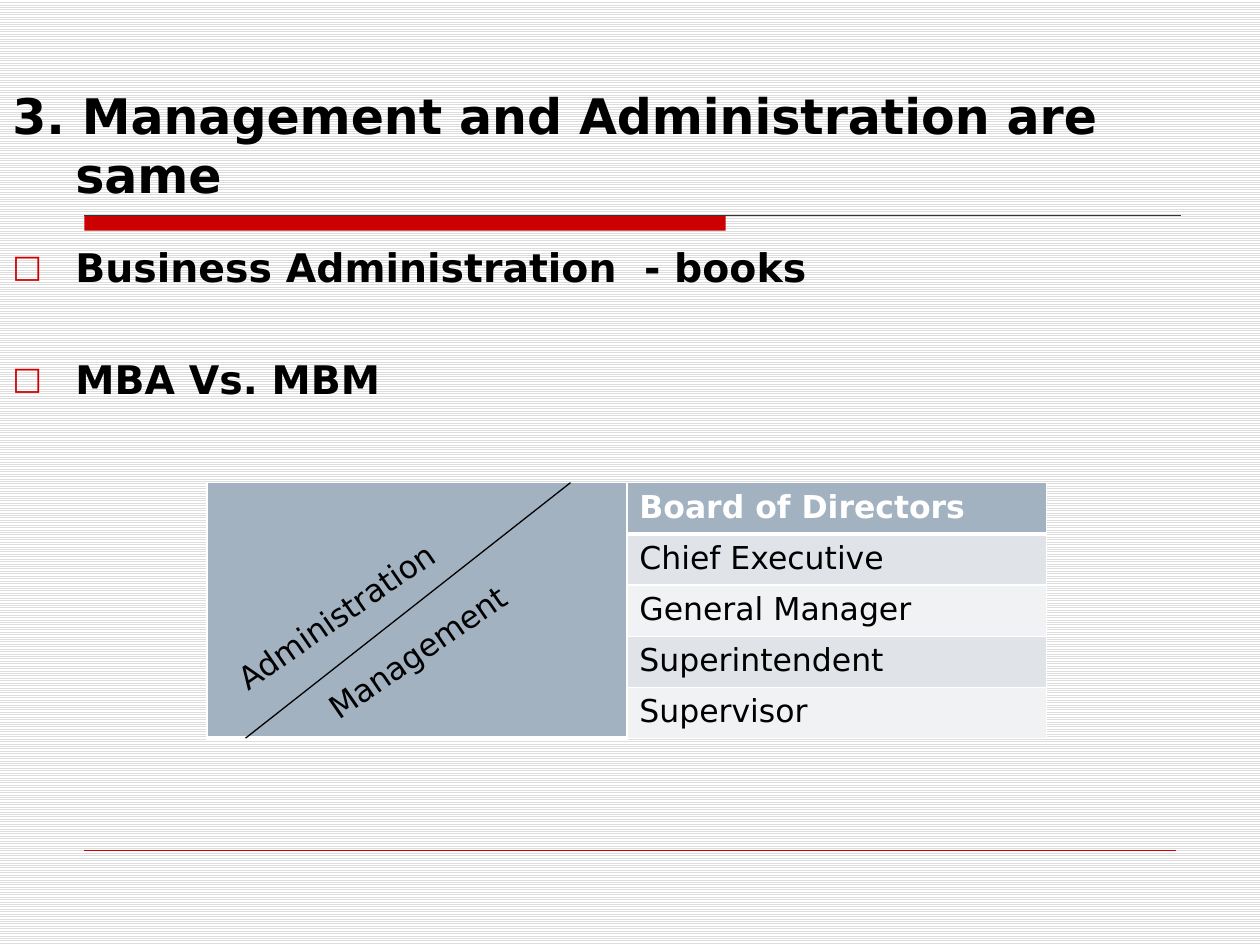
from pptx import Presentation
from pptx.dml.color import RGBColor
from pptx.enum.dml import MSO_PATTERN
from pptx.enum.shapes import MSO_CONNECTOR, MSO_SHAPE
from pptx.enum.text import MSO_ANCHOR as Anchor, PP_ALIGN as Align
from pptx.oxml import parse_xml
from pptx.oxml.ns import nsdecls
from pptx.util import Cm, Pt

COLORS = {
    "text": "000000", "white": "FFFFFF", "stripe": "DDDDDD", "accent": "CC0000",
    "rule": "333333", "header": "A3B2C1", "band_dark": "E0E4E9", "band_light": "F0F2F4",
}


def color(name):
    return RGBColor.from_string(COLORS[name])


class SlideBuilder:
    font = "DejaVu Sans"

    def __init__(self, page):
        self.page = page

    def background(self):
        fill = self.page.background.fill
        fill.patterned()
        fill.pattern = MSO_PATTERN.LIGHT_HORIZONTAL
        fill.fore_color.rgb = color("stripe")
        fill.back_color.rgb = color("white")

    def span(self, para, text, size, ink="text", bold=False):
        span = para.add_run()
        span.text = text
        formats = {"name": self.font, "size": Pt(size), "bold": bold}
        for name, value in formats.items():
            setattr(span.font, name, value)
        span.font.color.rgb = color(ink)

    def text(self, place, lines, size, bold=False, anchor=Anchor.TOP, align=Align.LEFT,
             hanging=0, gap=0, bullet=None, rotation=0):
        box = self.page.shapes.add_textbox(*map(Cm, place))
        box.rotation = rotation
        frame = box.text_frame
        for name, value in {"word_wrap": True, "vertical_anchor": anchor}.items():
            setattr(frame, name, value)
        for index, line in enumerate(lines):
            para = frame.add_paragraph() if index else frame.paragraphs[0]
            para.alignment = align
            para.space_before = Pt(gap if index else 0)
            self.span(para, line, size, bold=bold)
            props = para._p.get_or_add_pPr()
            if hanging:
                props.set("marL", str(Cm(hanging)))
                props.set("indent", str(-Cm(hanging)))
            if bullet:
                self.bullet(props, bullet)

    def bullet(self, props, mark):
        for part in (
            f'<a:buClr {nsdecls("a")}><a:srgbClr val="{COLORS["accent"]}"/></a:buClr>',
            f'<a:buSzPct {nsdecls("a")} val="80000"/>',
            f'<a:buFont {nsdecls("a")} typeface="{self.font}"/>',
            f'<a:buChar {nsdecls("a")} char="{mark}"/>',
        ):
            props.append(parse_xml(part))

    def bar(self, place, fill):
        shape = self.page.shapes.add_shape(MSO_SHAPE.RECTANGLE, *map(Cm, place))
        shape.shadow.inherit = False
        shape.fill.solid()
        shape.fill.fore_color.rgb = color(fill)
        shape.line.fill.background()

    def line(self, ends, ink, width):
        line = self.page.shapes.add_connector(MSO_CONNECTOR.STRAIGHT, *map(Cm, ends))
        line.line.color.rgb = color(ink)
        line.line.width = Pt(width)
        line._element.spPr.append(parse_xml(f'<a:effectLst {nsdecls("a")}/>'))

    def cell(self, cell, fill, bottom):
        cell.fill.solid()
        cell.fill.fore_color.rgb = color(fill)
        props = cell._tc.get_or_add_tcPr()
        widths = {"lnL": 1, "lnR": 1, "lnT": 1, "lnB": bottom}
        for index, (side, width) in enumerate(widths.items()):
            props.insert(index, parse_xml(
                f'<a:{side} {nsdecls("a")} w="{Pt(width)}"><a:solidFill>'
                f'<a:srgbClr val="{COLORS["white"]}"/></a:solidFill></a:{side}>'))

    def table(self, place, roles, size):
        table = self.page.shapes.add_table(len(roles), 2, *map(Cm, place)).table
        for index, role in enumerate(roles):
            header = index == 0
            band = "header" if header else ("band_light", "band_dark")[index % 2]
            self.cell(table.cell(index, 0), "header", 3)
            self.cell(table.cell(index, 1), band, 3 if header else 1)
            para = table.cell(index, 1).text_frame.paragraphs[0]
            self.span(para, role, size, "white" if header else "text", header)
        table.cell(0, 0).merge(table.cell(len(roles) - 1, 0))


deck = Presentation()
deck.slide_width, deck.slide_height = Cm(25.4), Cm(19.05)
slide = SlideBuilder(deck.slides.add_slide(deck.slide_layouts[6]))

slide.background()
slide.bar((1.7, 4.34, 12.93, 0.31), "accent")
slide.line((1.7, 4.34, 23.8, 4.34), "rule", 0.75)
slide.line((1.7, 17.15, 23.7, 17.15), "accent", 0.25)
slide.text((0, 0.84, 25.4, 3.38), ["3. Management and Administration are same"], 28,
           bold=True, anchor=Anchor.BOTTOM, hanging=1.27)
slide.text((0, 4.78, 25.4, 14.1), ["Business Administration  - books", "MBA Vs. MBM"], 22.5,
           bold=True, align=Align.JUSTIFY, hanging=1.27, gap=37, bullet="□")
slide.table((4.17, 9.73, 16.93, 5.16),
            ["Board of Directors", "Chief Executive", "General Manager",
             "Superintendent", "Supervisor"], 18)
for label, left, top in (("Administration", 4.04, 11.4), ("Management", 5.87, 11.99)):
    slide.text((left, top, 6.93, 1.02), [label], 18, rotation=325.4)
slide.line((4.95, 14.88, 11.5, 9.73), "text", 0.75)

deck.save("out.pptx")
